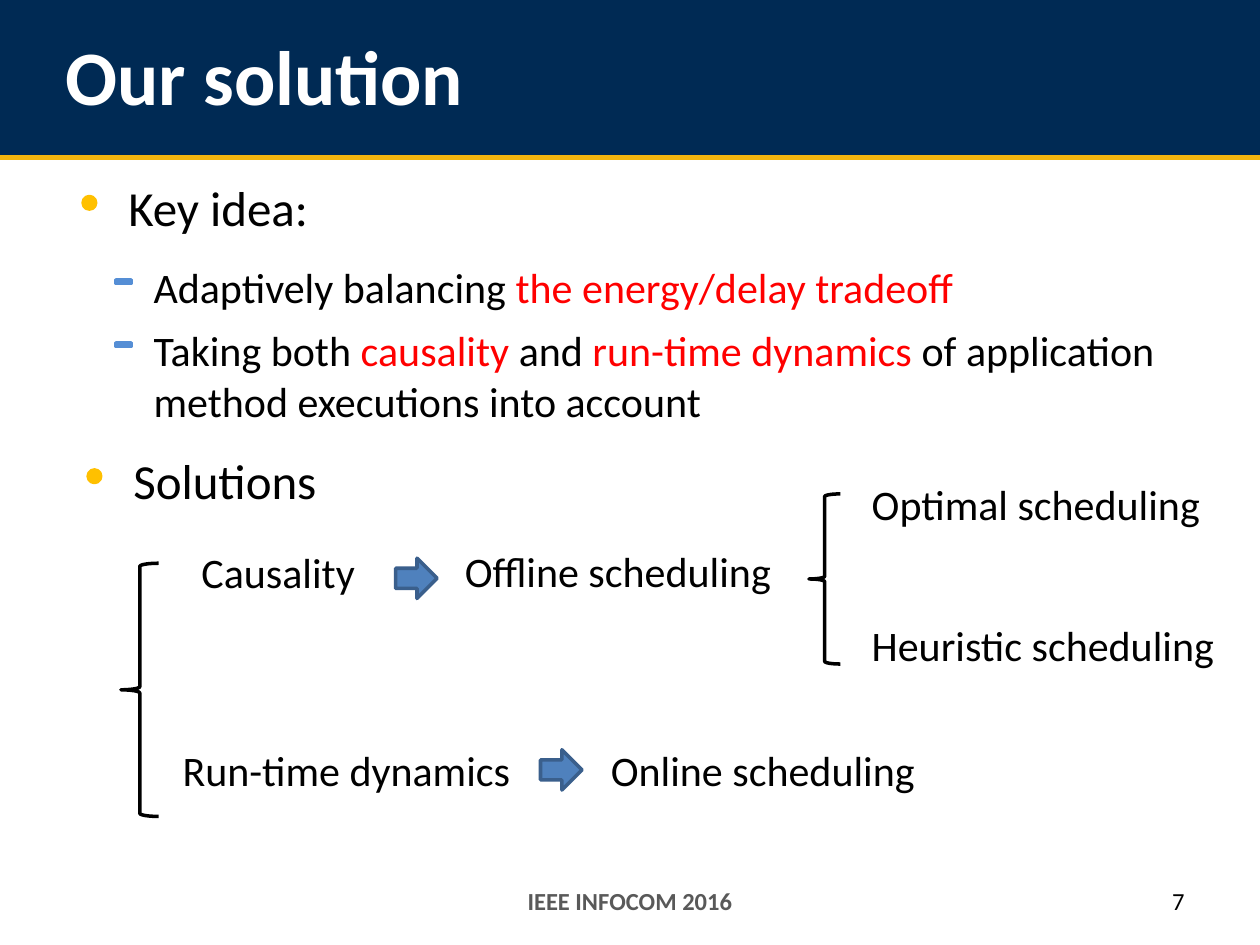
from pptx import Presentation
from pptx.dml.color import RGBColor
from pptx.enum.shapes import MSO_CONNECTOR, MSO_SHAPE
from pptx.enum.text import MSO_ANCHOR, PP_ALIGN
from pptx.oxml.ns import qn
from pptx.util import Inches, Pt
from lxml import etree

LEFT, CENTER, RIGHT = PP_ALIGN.LEFT, PP_ALIGN.CENTER, PP_ALIGN.RIGHT
TOP, MIDDLE = MSO_ANCHOR.TOP, MSO_ANCHOR.MIDDLE
RECTANGLE, OVAL = MSO_SHAPE.RECTANGLE, MSO_SHAPE.OVAL
BRACE, ARROW = MSO_SHAPE.LEFT_BRACE, MSO_SHAPE.RIGHT_ARROW

WIDTH, HEIGHT = 10, 7.5
BANNER_HEIGHT = HEIGHT / 6
FONT = "Calibri"
COLORS = {
    "navy": "002A54", "gold": "F3B50F", "white": "FFFFFF", "black": "000000",
    "red": "FF0000", "grey": "595959", "dot": "FFC000", "dash": "558ED5",
    "arrow": "4F81BD", "arrow_edge": "3A5F8C",
}

# Level one: left, top, text
HEADINGS = [(0.92, 1.36, "Key idea:"), (0.96, 3.53, "Solutions")]

# Level two: top, height, runs of (text, color)
POINTS = [
    (2.03, 0.5, [("Adaptively balancing ", "black"),
                 ("the energy/delay tradeoff ", "red")]),
    (2.53, 0.91, [("Taking both ", "black"), ("causality", "red"),
                  (" and ", "black"), ("run-time dynamics ", "red"),
                  ("of application method executions into account", "black")]),
]
POINT_LEFT = 1.12

# Scheduling diagram: left, top, width, text
LABELS = [
    (1.5, 4.29, 1.52, "Causality "),
    (1.35, 5.86, 2.82, "Run-time dynamics "),
    (3.59, 4.28, 3.08, "Offline scheduling"),
    (4.75, 5.86, 3.08, "Online scheduling"),
    (6.82, 3.75, 3.71, "Optimal scheduling"),
    (6.82, 4.87, 3.71, "Heuristic scheduling"),
]
BRACES = [(0.96, 4.47, 0.3, 2.01), (6.42, 3.92, 0.25, 1.35)]
ARROWS = [(3.14, 4.43), (4.29, 5.95)]

# Footer: left, width, text, alignment, color, bold
FOOTERS = [
    (3.25, 3.5, "IEEE INFOCOM 2016", CENTER, "grey", True),
    (7.17, 2.33, "7", RIGHT, "black", False),
]


def rgb(name):
    """Return the named palette color."""
    return RGBColor.from_string(COLORS[name])


def add_text(slide, box, runs, size, bold=False, align=LEFT, anchor=TOP):
    """Add a one-paragraph text box made of (text, color) runs."""
    frame = slide.shapes.add_textbox(*map(Inches, box)).text_frame
    frame.word_wrap = True
    frame.vertical_anchor = anchor
    paragraph = frame.paragraphs[0]
    paragraph.alignment = align
    paragraph.font.name = FONT
    paragraph.font.size = Pt(size)
    paragraph.font.bold = bold
    for text, color in runs:
        run = paragraph.add_run()
        run.text = text
        run.font.color.rgb = rgb(color)


def add_shape(slide, kind, box, fill=None, line=None):
    """Add a preset shape with an optional fill and a 2 pt outline."""
    shape = slide.shapes.add_shape(kind, *map(Inches, box))
    shape.shadow.inherit = False
    if fill:
        shape.fill.solid()
        shape.fill.fore_color.rgb = rgb(fill)
    else:
        shape.fill.background()
    if line:
        shape.line.color.rgb = rgb(line)
        shape.line.width = Pt(2)
    else:
        shape.line.fill.background()


def add_banner(slide):
    """Add the title band, its gold rule and the title."""
    add_shape(slide, RECTANGLE, (0, 0, WIDTH, BANNER_HEIGHT), "navy")
    ends = (0, BANNER_HEIGHT, WIDTH, BANNER_HEIGHT)
    rule = slide.shapes.add_connector(MSO_CONNECTOR.STRAIGHT, *map(Inches, ends))
    rule.line.color.rgb = rgb("gold")
    rule.line.width = Pt(2.5)
    etree.SubElement(rule._element.spPr, qn("a:effectLst"))
    add_text(slide, (0.42, 0.18, 9.58, 0.84), [("Our solution", "white")], 44, True)


def add_outline(slide):
    """Add both levels of the outline with their drawn markers."""
    for left, top, text in HEADINGS:
        add_shape(slide, OVAL, (left - 0.26, top + 0.2, 0.1, 0.1), "dot", "dot")
        add_text(slide, (left, top, 8.33, 0.57), [(text, "black")], 28)
    for top, height, runs in POINTS:
        marker = (POINT_LEFT - 0.2, top + 0.19, 0.12, 0.03)
        add_shape(slide, RECTANGLE, marker, "dash", "dash")
        add_text(slide, (POINT_LEFT, top, 8.25, height), runs, 24)


def add_diagram(slide):
    """Add the labels, braces and arrows of the scheduling diagram."""
    for left, top, width, text in LABELS:
        add_text(slide, (left, top, width, 0.5), [(text, "black")], 24)
    for box in BRACES:
        add_shape(slide, BRACE, box, line="black")
    for left, top in ARROWS:
        add_shape(slide, ARROW, (left, top, 0.33, 0.32), "arrow", "arrow_edge")


presentation = Presentation()
presentation.slide_width = Inches(WIDTH)
presentation.slide_height = Inches(HEIGHT)
slide = presentation.slides.add_slide(presentation.slide_layouts[6])
add_banner(slide)
add_outline(slide)
add_diagram(slide)
for left, width, text, align, color, bold in FOOTERS:
    add_text(slide, (left, 6.95, width, 0.4), [(text, color)], 14, bold, align, MIDDLE)
presentation.save("out.pptx")
